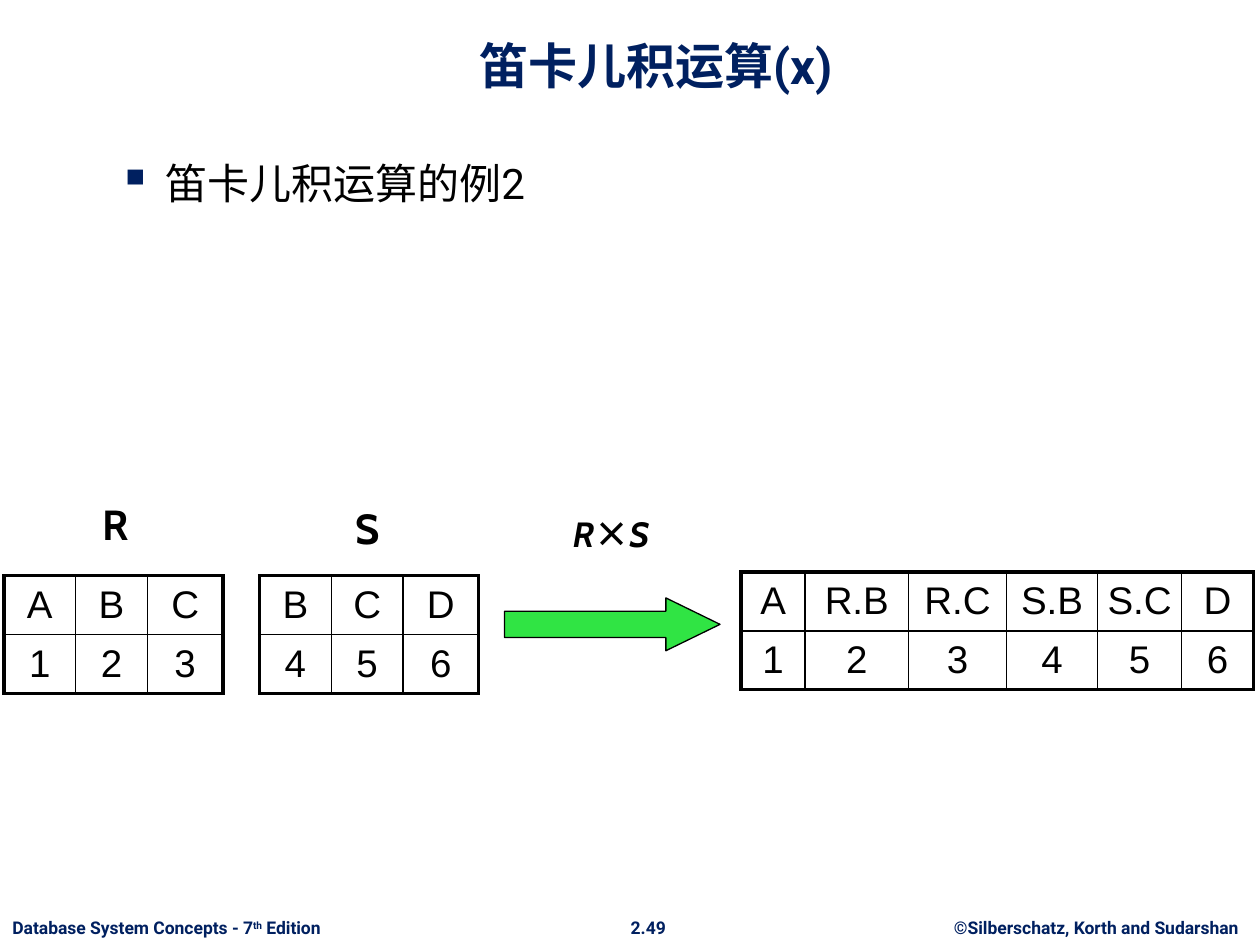
import pptx
import pptx.dml.color
import pptx.enum.shapes
import pptx.enum.text
import pptx.oxml
import pptx.oxml.ns
import pptx.util
from dataclasses import dataclass
from lxml import etree

Pt = pptx.util.Pt
ALIGN = pptx.enum.text.PP_ALIGN
ANCHOR = pptx.enum.text.MSO_ANCHOR


@dataclass(frozen=True)
class Theme:
    navy: str = "002060"
    black: str = "000000"
    white: str = "FFFFFF"
    green: str = "30E444"
    text_font: str = "Roboto"
    label_font: str = "Cabin"
    cell_font: str = "Arial"
    chinese_font: str = "Noto Sans CJK SC"
    title_size: float = 28
    body_size: float = 24
    cell_size: float = 22
    product_size: float = 20
    footer_size: float = 10
    outer_line: float = 2.25
    inner_line: float = 1


THEME = Theme()


def rgb(color):
    return pptx.dml.color.RGBColor.from_string(color)


def add_child(parent, tag, **attributes):
    return etree.SubElement(parent, pptx.oxml.ns.qn(tag), attributes)


def format_run(run, font, size, color, bold=False, italic=False):
    run.font.name = font
    run.font.size = Pt(size)
    run.font.color.rgb = rgb(color)
    run.font.bold = bold
    run.font.italic = italic
    add_child(run._r.get_or_add_rPr(), "a:ea", typeface=THEME.chinese_font)


def add_text(slide, box, parts, font, size, color, bold=True, italic=False,
             align=ALIGN.CENTER, anchor=ANCHOR.TOP, wrap=True):
    """Add a one-paragraph text box made of the given runs."""
    shape = slide.shapes.add_textbox(*map(Pt, box))
    frame = shape.text_frame
    frame.word_wrap = wrap
    frame.vertical_anchor = anchor
    paragraph = frame.paragraphs[0]
    paragraph.alignment = align
    for part in parts:
        run = paragraph.add_run()
        run.text = part
        format_run(run, font, size, color, bold, italic)
    return paragraph


def add_bullet(paragraph, indent):
    properties = paragraph._p.get_or_add_pPr()
    properties.set("marL", str(Pt(indent)))
    properties.set("indent", str(-Pt(indent)))
    color = add_child(properties, "a:buClr")
    add_child(color, "a:srgbClr", val=THEME.navy)
    add_child(properties, "a:buSzPct", val="110000")
    add_child(properties, "a:buChar", char="▪")


def set_border(cell, side, width):
    line = add_child(cell._tc.get_or_add_tcPr(), f"a:ln{side}", w=str(Pt(width)))
    fill = add_child(line, "a:solidFill")
    add_child(fill, "a:srgbClr", val=THEME.black)


def add_relation(slide, left, top, widths, rows, row_height=33.6):
    """Add a relation as a table with a heavy frame and thin inner lines."""
    shape = slide.shapes.add_table(len(rows), len(widths), Pt(left), Pt(top),
                                   Pt(sum(widths)), Pt(row_height * len(rows)))
    table = shape.table
    table.first_row = table.horz_banding = False
    for column, width in zip(table.columns, widths):
        column.width = Pt(width)
    last_row, last_column = len(rows) - 1, len(widths) - 1
    for r, values in enumerate(rows):
        table.rows[r].height = Pt(row_height)
        for c, value in enumerate(values):
            cell = table.cell(r, c)
            cell.text_frame.text = value
            cell.vertical_anchor = ANCHOR.MIDDLE
            cell.margin_left = cell.margin_right = Pt(2.9)
            cell.margin_top = cell.margin_bottom = Pt(3.6)
            paragraph = cell.text_frame.paragraphs[0]
            paragraph.alignment = ALIGN.CENTER
            format_run(paragraph.runs[0], THEME.cell_font, THEME.cell_size, THEME.black)
            edges = {"L": c == 0, "R": c == last_column, "T": r == 0, "B": r == last_row}
            for side, outer in edges.items():
                set_border(cell, side, THEME.outer_line if outer else THEME.inner_line)
            if r == 0:
                cell.fill.solid()
                cell.fill.fore_color.rgb = rgb(THEME.white)
            else:
                cell.fill.background()


def add_arrow(slide, box):
    """Add a down arrow turned to point right."""
    arrow = slide.shapes.add_shape(pptx.enum.shapes.MSO_SHAPE.DOWN_ARROW, *map(Pt, box))
    arrow.rotation = 270
    arrow.adjustments[0] = 0.5
    arrow.adjustments[1] = 1.025
    arrow.shadow.inherit = False
    arrow.fill.solid()
    arrow.fill.fore_color.rgb = rgb(THEME.green)
    arrow.line.color.rgb = rgb(THEME.black)
    arrow.line.width = Pt(0.75)


def add_footer(slide):
    style = (THEME.text_font, THEME.footer_size, THEME.navy)
    top, height = 520.6, 19.4
    add_text(slide, (532.8, top, 187.2, height),
             ["©Silberschatz, Korth and Sudarshan"], *style, wrap=False)
    add_text(slide, (352.8, top, 35.3, height), ["2.49"], *style, wrap=False)
    book = add_text(slide, (0, top, 202.3, height),
                    ["Database System Concepts - 7", "th", " Edition"], *style,
                    align=ALIGN.LEFT, wrap=False)
    book.runs[1].font._element.set("baseline", "30000")


def main():
    presentation = pptx.Presentation()
    presentation.slide_width, presentation.slide_height = Pt(720), Pt(540)
    slide = presentation.slides.add_slide(presentation.slide_layouts[6])

    add_footer(slide)

    # Title and bullet
    add_text(slide, (60.5, 9.4, 635.8, 48.2), ["笛卡儿积运算(x) "], THEME.text_font,
             THEME.title_size, THEME.navy, anchor=ANCHOR.BOTTOM)
    body = add_text(slide, (60.5, 86.4, 607, 386), ["笛卡儿积运算的例2"], THEME.text_font,
                    THEME.body_size, THEME.black, bold=False, align=ALIGN.LEFT)
    add_bullet(body, 27)

    # Operand relations with their names
    operand_widths = (41, 41, 43.2)
    operands = [
        ("R", 2.2, (33.1, 281.5), ("ABC", "123")),
        ("S", 148.3, (177.1, 283.7), ("BCD", "456")),
    ]
    for name, left, label_corner, rows in operands:
        add_relation(slide, left, 329, operand_widths, rows)
        add_text(slide, (*label_corner, 66.2, 36), [name], THEME.label_font,
                 THEME.body_size, THEME.black)

    # Product operator, arrow and result
    product = add_text(slide, (295.2, 289.4, 108, 31), ["R", "×", "S"], THEME.label_font,
                       THEME.product_size, THEME.black, italic=True)
    product.runs[1].font.name = THEME.chinese_font
    product.runs[1].font.italic = False
    add_arrow(slide, (334.8, 295.2, 30.2, 123.1))
    add_relation(slide, 423.4, 326.9, (36.7, 59, 56.2, 51.8, 48.2, 41),
                 (("A", "R.B", "R.C", "S.B", "S.C", "D"), "123456"))

    presentation.save("out.pptx")


if __name__ == "__main__":
    main()
